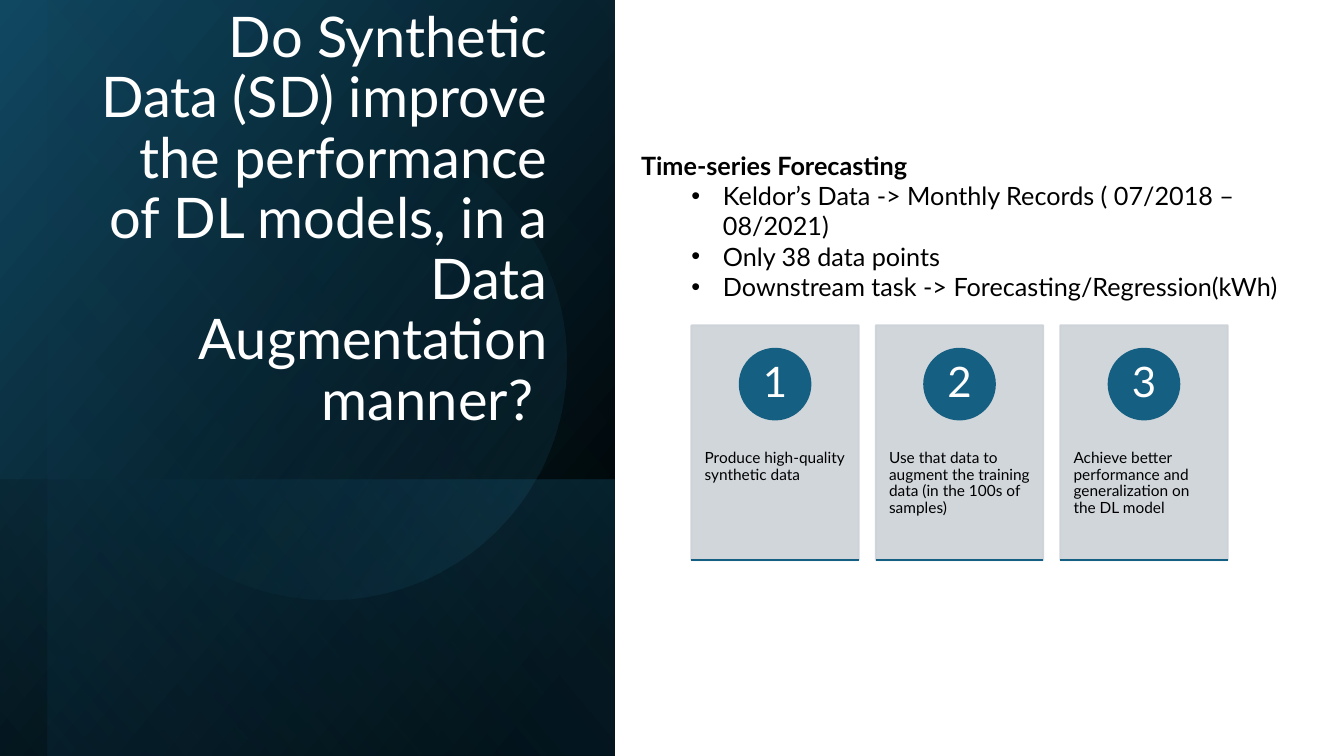
from pptx import Presentation, util as u
from pptx.dml.color import RGBColor
from pptx.enum import shapes, text
from pptx.oxml.ns import qn
from lxml import etree

Pt = u.Pt
FONT = "Lato"
COLORS = {
    "black": "000000",
    "white": "FFFFFF",
    "navy": "104862",
    "teal": "156082",
    "sky": "46B1E1",
    "card": "CCD2D8",
}
TITLE = ("Do Synthetic Data (SD) improve the performance of DL models, "
         "in a Data Augmentation manner? ")
HEADING = "Time-series Forecasting"
FACTS = [
    "Keldor’s Data -> Monthly Records ( 07/2018 – 08/2021)",
    "Only 38 data points",
    "Downstream task -> Forecasting/Regression(kWh)",
]
STEPS = [
    "Produce high-quality synthetic data",
    "Use that data to augment the training data (in the 100s of samples)",
    "Achieve better performance and generalization on the DL model",
]


def rgb(name):
    return RGBColor.from_string(COLORS[name])


def set_alpha(color_parent, percent):
    """Give every RGB colour below the element the stated opacity."""
    for color in color_parent.iter(qn("a:srgbClr")):
        etree.SubElement(color, qn("a:alpha")).set("val", str(percent * 1000))


def style(paragraph, size, color, align=text.PP_ALIGN.LEFT, spacing=0.9):
    paragraph.font.name = FONT
    paragraph.font.size = Pt(size)
    paragraph.font.color.rgb = rgb(color)
    paragraph.alignment = align
    paragraph.line_spacing = spacing
    paragraph.space_before = paragraph.space_after = Pt(0)


def set_margins(frame, left, top, right, bottom):
    frame.margin_left, frame.margin_top = Pt(left), Pt(top)
    frame.margin_right, frame.margin_bottom = Pt(right), Pt(bottom)


def place(shape, left, top, width, height):
    shape.left, shape.top = Pt(left), Pt(top)
    shape.width, shape.height = Pt(width), Pt(height)


def add_solid(slide, kind, left, top, width, height, color):
    shape = slide.shapes.add_shape(kind, Pt(left), Pt(top), Pt(width), Pt(height))
    shape.shadow.inherit = False
    shape.fill.solid()
    shape.fill.fore_color.rgb = rgb(color)
    shape.line.color.rgb = rgb(color)
    shape.line.width = Pt(1.5)
    return shape


def add_glow(slide, kind, box, rotation, stops, angle, flip=False):
    """Add a turned gradient shape; box is its visible area, angle is clockwise."""
    left, top, width, height = box
    if rotation == 90:
        left, top = left + (width - height) / 2, top + (height - width) / 2
        width, height = height, width
    glow = slide.shapes.add_shape(kind, Pt(left), Pt(top), Pt(width), Pt(height))
    glow.shadow.inherit = False
    glow.rotation = rotation
    glow.line.fill.background()
    glow.fill.gradient()
    glow.fill.gradient_angle = 360 - angle
    properties = glow._element.spPr
    if flip:
        properties.find(qn("a:xfrm")).set("flipH", "1")
    gradient_marks = properties.iter(qn("a:gs"))
    for stop, mark, (position, color, opacity) in zip(
            glow.fill.gradient_stops, gradient_marks, stops):
        stop.position = position / 100
        stop.color.rgb = rgb(color)
        if opacity < 100:
            set_alpha(mark, opacity)


def add_backdrop(slide, left, top, width, height):
    rectangle, oval = shapes.MSO_SHAPE.RECTANGLE, shapes.MSO_SHAPE.OVAL
    band, inset, disc = 197.3, 34, 339.84
    add_glow(slide, rectangle, (left, top, width, height), 90,
             [(8, "black", 100), (100, "navy", 100)], 50, flip=True)
    add_glow(slide, rectangle, (left, top + height - band, width, band), 90,
             [(2, "teal", 29), (100, "black", 30)], 130, flip=True)
    add_glow(slide, rectangle, (left + inset, top, width - inset, height), 90,
             [(0, "black", 0), (99, "teal", 11)], 130, flip=True)
    add_glow(slide, oval, (left + 64.8, top + 88.56, disc, disc), 101.6,
             [(39, "teal", 0), (100, "sky", 15)], 290)


def fill_title(slide, left, top, width, height):
    title = slide.shapes.title
    place(title, left, top, width, height)
    frame = title.text_frame
    frame.text = TITLE
    frame.word_wrap = True
    frame.auto_size = text.MSO_AUTO_SIZE.NONE
    frame.vertical_anchor = text.MSO_ANCHOR.BOTTOM
    style(frame.paragraphs[0], 40, "white", text.PP_ALIGN.RIGHT)
    # Stacking order: the title lies above the backdrop.
    slide.shapes._spTree.append(title._element)


def fill_facts(slide, left, top, width, height):
    facts = slide.placeholders[1]
    place(facts, left, top, width, height)
    frame = facts.text_frame
    frame.word_wrap = True
    frame.auto_size = text.MSO_AUTO_SIZE.NONE
    frame.vertical_anchor = text.MSO_ANCHOR.TOP
    frame.text = "\n".join([HEADING] + FACTS)
    for index, paragraph in enumerate(frame.paragraphs):
        style(paragraph, 18, "black", spacing=1.0)
        paragraph.font.bold = index == 0
        properties = paragraph._p.get_or_add_pPr()
        if index == 0:
            marker, indents = etree.Element(qn("a:buNone")), (0, 0)
        else:
            paragraph.level = 1
            marker, indents = etree.Element(qn("a:buChar")), (58.5, -22.5)
            marker.set("char", "•")
            bullet_font = etree.Element(qn("a:buFont"))
            bullet_font.set("typeface", "Arial")
            properties.find(qn("a:defRPr")).addprevious(bullet_font)
        properties.find(qn("a:defRPr")).addprevious(marker)
        properties.set("marL", str(Pt(indents[0])))
        properties.set("indent", str(Pt(indents[1])))


def add_step(slide, number, wording, left, top, width, height):
    card = add_solid(slide, shapes.MSO_SHAPE.RECTANGLE, left, top, width, height, "card")
    set_alpha(card._element.spPr, 90)
    frame = card.text_frame
    frame.word_wrap = True
    frame.vertical_anchor = text.MSO_ANCHOR.TOP
    set_margins(frame, 9.4, 89.3, 9.4, 26)
    frame.text = wording
    style(frame.paragraphs[0], 11, "black")

    size = 50.4
    badge = add_solid(slide, shapes.MSO_SHAPE.OVAL, left + (width - size) / 2,
                      top + 16.8, size, size, "teal")
    frame = badge.text_frame
    frame.vertical_anchor = text.MSO_ANCHOR.MIDDLE
    set_margins(frame, 3.6, 0.9, 3.6, 0.9)
    frame.text = str(number)
    style(frame.paragraphs[0], 30, "white", text.PP_ALIGN.CENTER)

    bottom = Pt(top + height)
    underline = slide.shapes.add_connector(
        shapes.MSO_CONNECTOR.STRAIGHT, Pt(left), bottom, Pt(left + width), bottom)
    underline.line.color.rgb = rgb("teal")
    underline.line.width = Pt(1.5)
    etree.SubElement(underline._element.spPr, qn("a:effectLst"))


def add_steps(slide, left, top, width, height, gap=12.24):
    card_width = (width - gap * (len(STEPS) - 1)) / len(STEPS)
    for index, wording in enumerate(STEPS):
        add_step(slide, index + 1, wording, left + index * (card_width + gap),
                 top, card_width, height)


def main():
    deck = Presentation()
    deck.slide_width, deck.slide_height = Pt(960), Pt(540)
    slide = deck.slides.add_slide(deck.slide_layouts[1])
    add_backdrop(slide, 0, 0, 439.2, 540)
    fill_title(slide, 64.8, 46, 333.4, 266.4)
    fill_facts(slide, 450.7, 103.7, 496, 94.3)
    add_steps(slide, 493.9, 232.4, 383.04, 167.6)
    deck.save("out.pptx")


if __name__ == "__main__":
    main()
